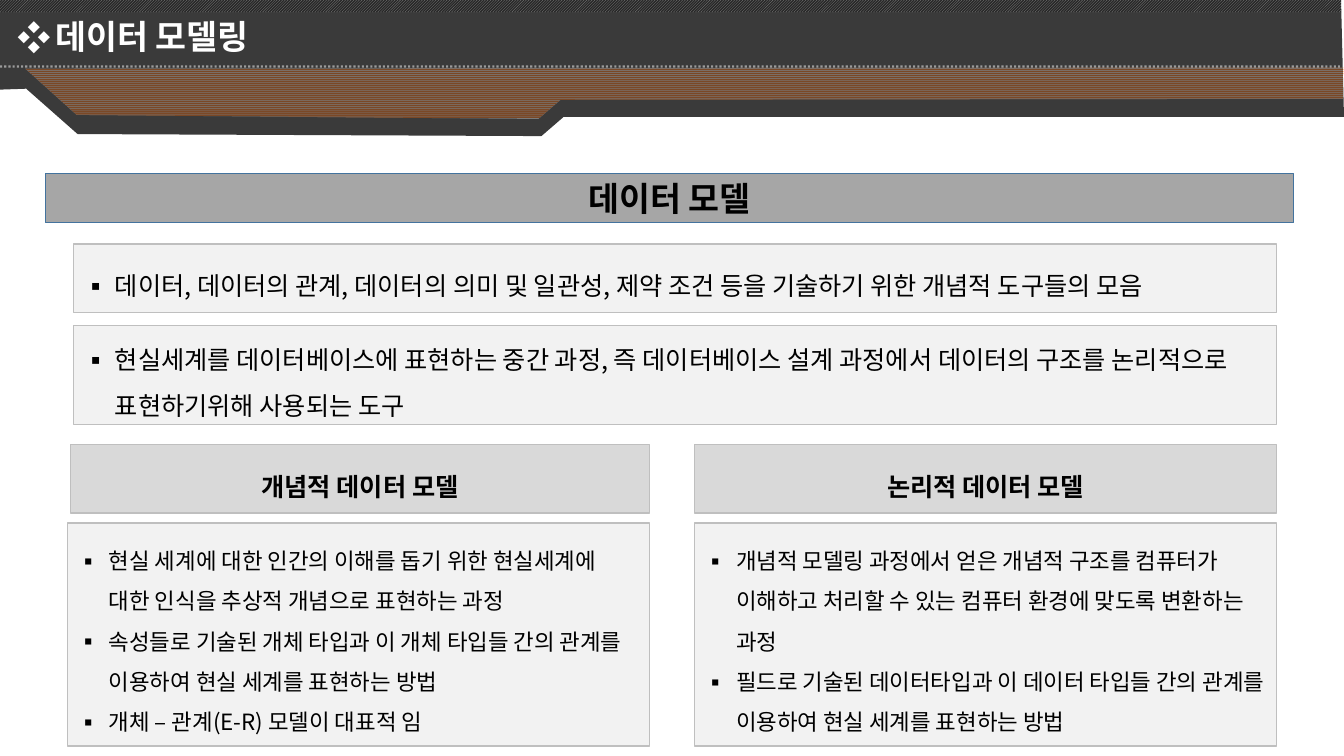
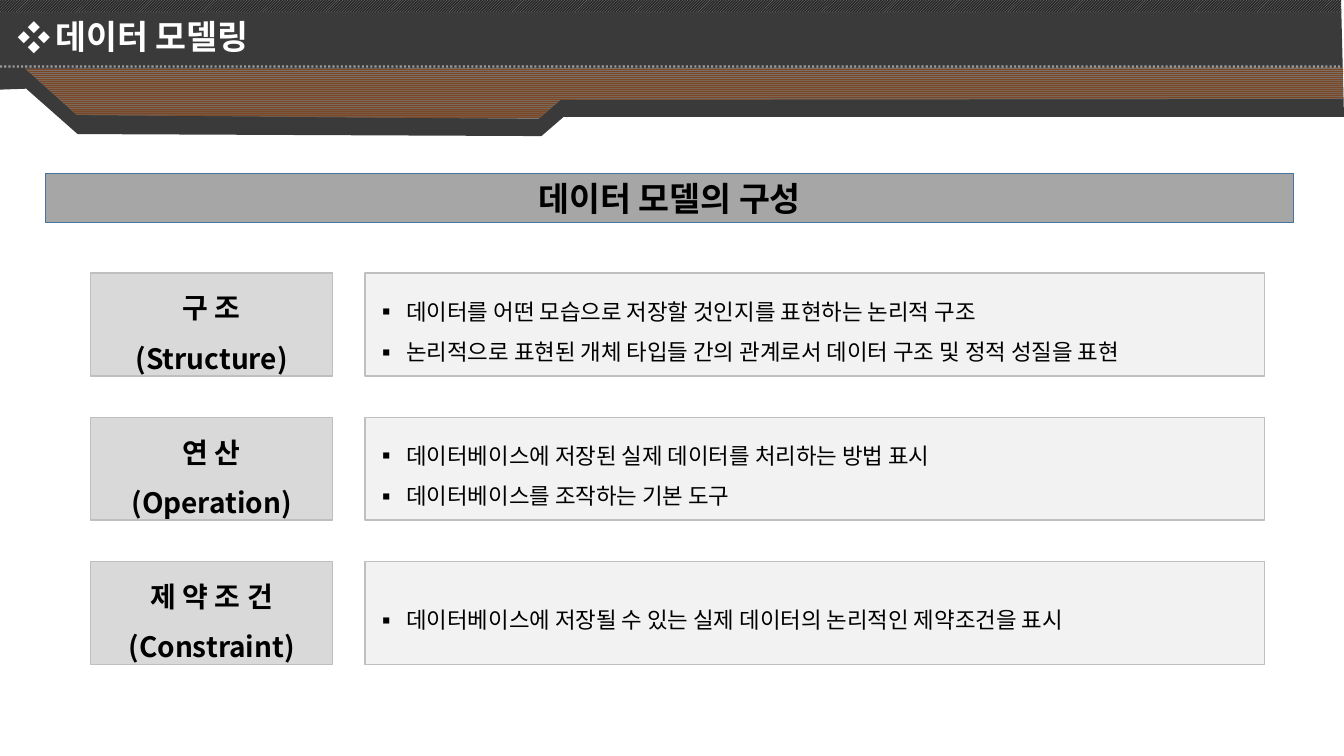
from lxml.etree import SubElement
from pptx import Presentation
from pptx.dml.color import RGBColor
from pptx.enum.dml import MSO_LINE, MSO_PATTERN
from pptx.enum.shapes import MSO_CONNECTOR, MSO_SHAPE
from pptx.enum.text import MSO_ANCHOR, MSO_AUTO_SIZE, PP_ALIGN
from pptx.oxml.ns import qn
from pptx.util import Pt

PX = 9144  # EMU in one px, a hundredth of an inch
WIDTH, HEIGHT = 1333, 750
COMPARISON_LAYOUT = 4  # a title and four list placeholders
FONT = "Noto Sans CJK KR"

BLACK = RGBColor(0x00, 0x00, 0x00)
WHITE = RGBColor(0xFF, 0xFF, 0xFF)
CHARCOAL = RGBColor(0x3A, 0x3A, 0x3A)
ORANGE = RGBColor(0xFF, 0x66, 0x00)
BLUE = RGBColor(0x43, 0x73, 0x9E)
HEADING_GREY = RGBColor(0xA6, 0xA6, 0xA6)
LABEL_GREY = RGBColor(0xD9, 0xD9, 0xD9)
LIST_GREY = RGBColor(0xF2, 0xF2, 0xF2)
BORDER_GREY = RGBColor(0xBF, 0xBF, 0xBF)

BANNER = [(-2, -2), (1330, -3), (1333, 116), (559, 116), (537, 135),
          (77, 133), (26, 88), (-2, 89)]
RIBBON = [(25, 68), (76, 114), (534, 118), (556, 99), (1332, 98), (1333, 67)]


def set_opacity(element, percent):
    """Make every plain colour inside the element partly transparent."""
    for color in element.iter(qn("a:srgbClr")):
        SubElement(color, qn("a:alpha"), val=str(percent * 1000))


def set_bullet(para, char, indent):
    properties = para._p.get_or_add_pPr()
    properties.set("marL", str(indent * PX))
    properties.set("indent", str(-indent * PX))
    SubElement(properties, qn("a:buFont"), typeface=FONT)
    SubElement(properties, qn("a:buChar"), char=char)


def add_text_shadow(span):
    properties = span._r.get_or_add_rPr()
    effects = SubElement(properties, qn("a:effectLst"))
    shadow = SubElement(effects, qn("a:outerShdw"), blurRad="38100",
                        dist="38100", dir="2700000", algn="tl")
    SubElement(shadow, qn("a:srgbClr"), val=str(BLACK))
    properties.find(qn("a:latin")).addprevious(effects)


def write(box, lines, size=16, bold=False, color=BLACK, align=PP_ALIGN.LEFT,
          spacing=1.0, bullet=None, indent=31, shadow=False):
    frame = box.text_frame
    frame.word_wrap = True
    frame.auto_size = MSO_AUTO_SIZE.NONE
    frame.vertical_anchor = MSO_ANCHOR.MIDDLE
    for number, line in enumerate(lines):
        para = frame.add_paragraph() if number else frame.paragraphs[0]
        para.alignment = align
        para.line_spacing = spacing
        para.space_before = Pt(0)
        if bullet:
            set_bullet(para, bullet, indent)
        span = para.add_run()
        span.text = line
        span.font.name = FONT
        span.font.size = Pt(size)
        span.font.bold = bold
        span.font.color.rgb = color
        latin = span._r.get_or_add_rPr().find(qn("a:latin"))
        latin.addnext(latin.makeelement(qn("a:ea"), typeface=FONT))
        if shadow:
            add_text_shadow(span)


class Sheet:
    """The shared style and the slide being filled."""

    def __init__(self, deck, title, heading):
        self.page = deck.slides.add_slide(deck.slide_layouts[COMPARISON_LAYOUT])
        self.shapes = self.page.shapes
        title_box, *lists = self.page.placeholders
        self.free_lists = iter(lists)
        self.draw_frame()
        self.place(title_box, 7, 11, 659, 50)
        write(title_box, [title], size=24, bold=True, color=WHITE,
              bullet="❖", indent=38, shadow=True)
        self.panel([heading], 45, 172, 1238, 49, HEADING_GREY, BLUE, size=24)

    def place(self, box, left, top, width, height):
        """Set the bounds of a placeholder and bring it to the front."""
        box.left, box.top = left * PX, top * PX
        box.width, box.height = width * PX, height * PX
        self.shapes.element.append(box.element)

    def paint(self, box, fill, border=None):
        box.fill.solid()
        box.fill.fore_color.rgb = fill
        if border is None:
            box.line.fill.background()
        else:
            box.line.color.rgb = border
            box.line.width = Pt(1)

    def hatch(self, box, pattern, color, opacity):
        box.fill.patterned()
        box.fill.pattern = pattern
        box.fill.fore_color.rgb = color
        box.fill.back_color.rgb = WHITE
        box.line.fill.background()
        set_opacity(box.element, opacity)

    def rectangle(self, left, top, width, height):
        box = self.shapes.add_shape(MSO_SHAPE.RECTANGLE, left * PX, top * PX,
                                    width * PX, height * PX)
        box.shadow.inherit = False
        return box

    def outline(self, points):
        builder = self.shapes.build_freeform(*points[0], scale=PX)
        builder.add_line_segments(points[1:], close=True)
        box = builder.convert_to_shape()
        box.shadow.inherit = False
        return box

    def dotted_line(self, left, right, top):
        line = self.shapes.add_connector(MSO_CONNECTOR.STRAIGHT, left * PX,
                                         top * PX, right * PX, top * PX)
        line.line.color.rgb = WHITE
        line.line.width = Pt(1.5)
        line.line.dash_style = MSO_LINE.ROUND_DOT
        set_opacity(line.element, 50)
        SubElement(line.element.spPr, qn("a:effectLst"))

    def draw_frame(self):
        self.paint(self.outline(BANNER), CHARCOAL)
        self.hatch(self.rectangle(-3, 0, WIDTH, 12),
                   MSO_PATTERN.LIGHT_UPWARD_DIAGONAL, BLACK, 30)
        self.hatch(self.outline(RIBBON),
                   MSO_PATTERN.NARROW_HORIZONTAL, ORANGE, 32)
        self.dotted_line(0, 1329, 66)

    def panel(self, lines, left, top, width, height, fill=LABEL_GREY,
              border=BORDER_GREY, size=18, spacing=1.0):
        box = self.rectangle(left, top, width, height)
        self.paint(box, fill, border)
        write(box, lines, size=size, bold=True, align=PP_ALIGN.CENTER,
              spacing=spacing)

    def bullets(self, lines, left, top, width, height, size=16):
        box = next(self.free_lists)
        self.place(box, left, top, width, height)
        self.paint(box, LIST_GREY, BORDER_GREY)
        write(box, lines, size=size, spacing=1.5, bullet="▪")

    def finish(self):
        """Remove the list placeholders left empty."""
        for box in self.free_lists:
            box.element.getparent().remove(box.element)


def add_model_slide(deck):
    sheet = Sheet(deck, "데이터 모델링", "데이터 모델")
    sheet.bullets(["데이터, 데이터의 관계, 데이터의 의미 및 일관성, 제약 조건 등을 "
                   "기술하기 위한 개념적 도구들의 모음"], 73, 242, 1193, 68, size=18)
    sheet.bullets(["현실세계를 데이터베이스에 표현하는 중간 과정, 즉 데이터베이스 설계 "
                   "과정에서 데이터의 구조를 논리적으로 표현하기위해 사용되는 도구"],
                  73, 323, 1193, 98, size=18)
    sheet.panel(["개념적 데이터 모델"], 70, 441, 574, 68, spacing=1.5)
    sheet.panel(["논리적 데이터 모델"], 689, 441, 577, 68, spacing=1.5)
    sheet.bullets([
        "현실 세계에 대한 인간의 이해를 돕기 위한 현실세계에 대한 인식을 추상적 개념으로 표현하는 과정",
        "속성들로 기술된 개체 타입과 이 개체 타입들 간의 관계를 이용하여 현실 세계를 표현하는 방법",
        "개체 – 관계(E-R) 모델이 대표적 임",
    ], 67, 519, 577, 221)
    sheet.bullets([
        "개념적 모델링 과정에서 얻은 개념적 구조를 컴퓨터가 이해하고 처리할 수 있는 "
        "컴퓨터 환경에 맞도록 변환하는 과정",
        "필드로 기술된 데이터타입과 이 데이터 타입들 간의 관계를 이용하여 현실 세계를 표현하는 방법",
    ], 689, 519, 577, 221)
    sheet.finish()


def add_parts_slide(deck):
    sheet = Sheet(deck, "데이터 모델링", "데이터 모델의 구성")
    parts = [
        (["구 조", "(Structure)"],
         ["데이터를 어떤 모습으로 저장할 것인지를 표현하는 논리적 구조",
          "논리적으로 표현된 개체 타입들 간의 관계로서 데이터 구조 및 정적 성질을 표현"]),
        (["연 산", "(Operation)"],
         ["데이터베이스에 저장된 실제 데이터를 처리하는 방법 표시",
          "데이터베이스를 조작하는 기본 도구"]),
        (["제 약 조 건", "(Constraint)"],
         ["데이터베이스에 저장될 수 있는 실제 데이터의 논리적인 제약조건을 표시"]),
    ]
    for row, (label, details) in enumerate(parts):
        top = 271 + 143 * row
        sheet.panel(label, 90, top, 240, 102, size=20, spacing=1.5)
        sheet.bullets(details, 362, top, 892, 102)
    sheet.finish()


def main():
    deck = Presentation()
    deck.slide_width, deck.slide_height = WIDTH * PX, HEIGHT * PX
    add_model_slide(deck)
    add_parts_slide(deck)
    deck.save("out.pptx")


if __name__ == "__main__":
    main()
